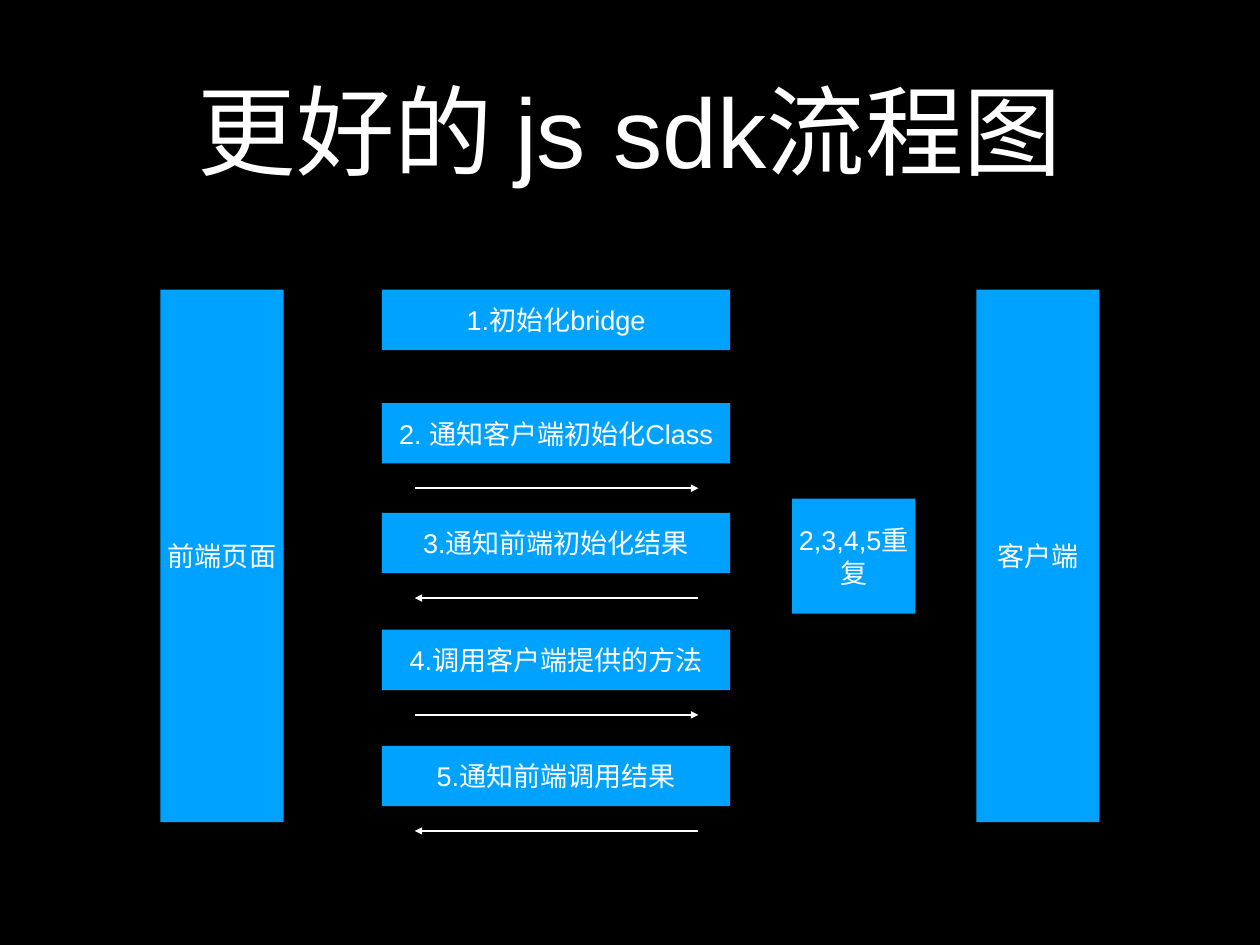
from lxml.etree import SubElement
from pptx import Presentation
from pptx.dml.color import RGBColor
from pptx.enum.shapes import MSO_CONNECTOR, MSO_SHAPE
from pptx.enum.text import MSO_ANCHOR, MSO_AUTO_SIZE, PP_ALIGN
from pptx.oxml.ns import qn
from pptx.util import Cm, Pt

COLORS = {"background": "000000", "box": "00A2FF", "ink": "FFFFFF"}

PILLAR_TOP, PILLAR_WIDTH, PILLAR_HEIGHT = 8.31, 3.53, 15.27
PILLARS = [("前端页面", 4.6), ("客户端", 27.99)]

STEP_LEFT, STEP_WIDTH, STEP_HEIGHT = 10.95, 9.98, 1.73
ARROW_LEFT, ARROW_RIGHT, ARROW_DROP = 11.89, 20.02, 2.44
STEPS = [  # text, top, direction of the arrow below
    ("1.初始化bridge", PILLAR_TOP, None),
    ("2. 通知客户端初始化Class", 11.56, "to client"),
    ("3.通知前端初始化结果", 14.71, "to page"),
    ("4.调用客户端提供的方法", 18.06, "to client"),
    ("5.通知前端调用结果", 21.39, "to page"),
]


def color(name):
    return RGBColor.from_string(COLORS[name])


class FlowSlide:
    """Holds the shared style and the page that elements are added to."""

    font_name = "Arial"
    title_size = 80
    box_size = 22
    line_width = 2
    frame_format = {
        "word_wrap": True,
        "auto_size": MSO_AUTO_SIZE.NONE,
        "vertical_anchor": MSO_ANCHOR.MIDDLE,
        "margin_left": Cm(0.15),
        "margin_right": Cm(0.15),
        "margin_top": Cm(0.15),
        "margin_bottom": Cm(0.15),
    }

    def __init__(self, deck):
        self.page = deck.slides.add_slide(deck.slide_layouts[5])
        fill = self.page.background.fill
        fill.solid()
        fill.fore_color.rgb = color("background")

    def label(self, shape, text, size):
        frame = shape.text_frame
        for name, value in self.frame_format.items():
            setattr(frame, name, value)
        para = frame.paragraphs[0]
        para.alignment = PP_ALIGN.CENTER
        span = para.add_run()
        span.text = text
        for name, value in {"name": self.font_name, "size": Pt(size)}.items():
            setattr(span.font, name, value)
        span.font.color.rgb = color("ink")

    def title(self, text, left, top, width, height):
        heading = self.page.shapes.title
        place = {"left": left, "top": top, "width": width, "height": height}
        for name, value in place.items():
            setattr(heading, name, Cm(value))
        self.label(heading, text, self.title_size)

    def box(self, text, left, top, width, height):
        box = self.page.shapes.add_shape(
            MSO_SHAPE.RECTANGLE, Cm(left), Cm(top), Cm(width), Cm(height))
        box.shadow.inherit = False
        box.fill.solid()
        box.fill.fore_color.rgb = color("box")
        box.line.fill.background()
        self.label(box, text, self.box_size)

    def arrow(self, start, end, height):
        """Draw a level arrow from start to end at the given height."""
        arrow = self.page.shapes.add_connector(
            MSO_CONNECTOR.STRAIGHT, Cm(start), Cm(height), Cm(end), Cm(height))
        arrow.line.width = Pt(self.line_width)
        arrow.line.color.rgb = color("ink")
        properties = arrow.element.spPr
        SubElement(properties.get_or_add_ln(), qn("a:tailEnd"), type="triangle")
        SubElement(properties, qn("a:effectLst"))


def main():
    deck = Presentation()
    deck.slide_width, deck.slide_height = Cm(36.12), Cm(27.1)

    flow = FlowSlide(deck)
    flow.title("更好的 js sdk流程图", 2.64, 0.71, 30.84, 5.99)
    for text, left in PILLARS:
        flow.box(text, left, PILLAR_TOP, PILLAR_WIDTH, PILLAR_HEIGHT)
    for text, top, direction in STEPS:
        flow.box(text, STEP_LEFT, top, STEP_WIDTH, STEP_HEIGHT)
        if direction == "to client":
            flow.arrow(ARROW_LEFT, ARROW_RIGHT, top + ARROW_DROP)
        elif direction == "to page":
            flow.arrow(ARROW_RIGHT, ARROW_LEFT, top + ARROW_DROP)
    flow.box("2,3,4,5重复", 22.71, 14.3, PILLAR_WIDTH, 3.3)

    deck.save("out.pptx")


if __name__ == "__main__":
    main()
